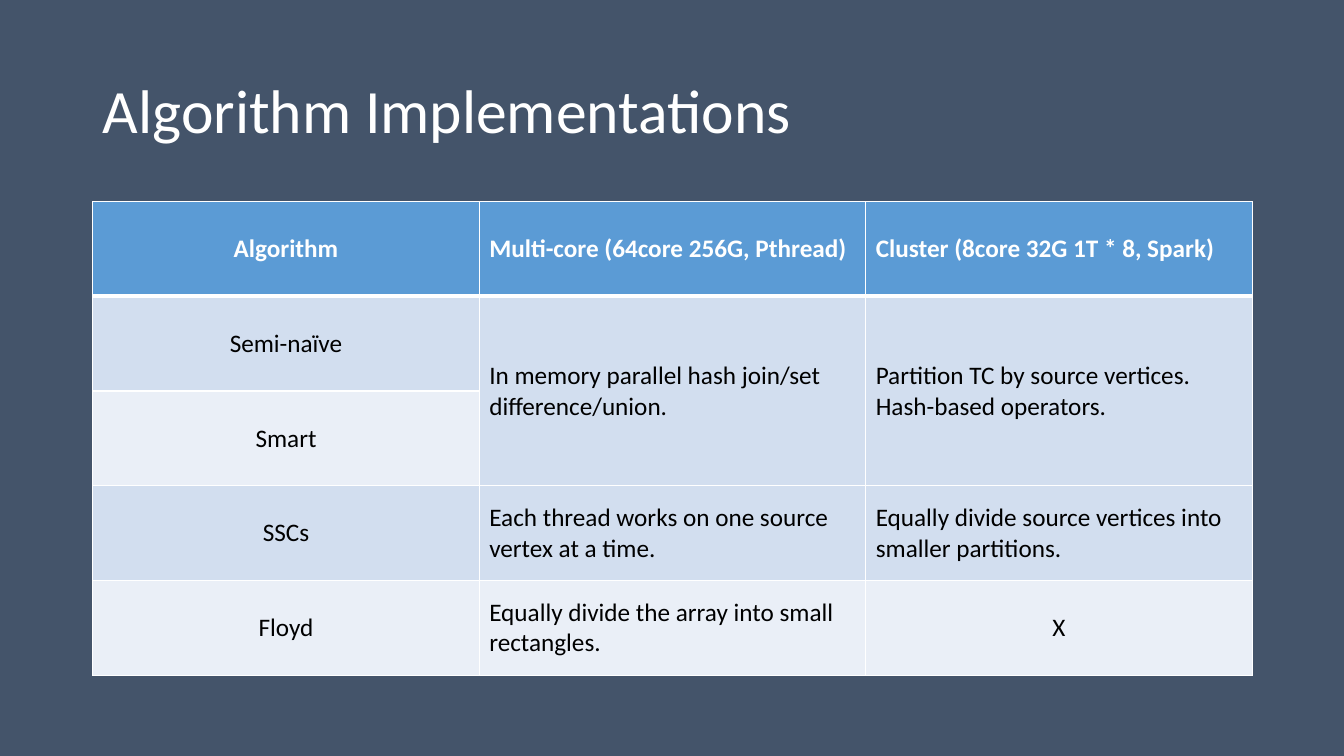
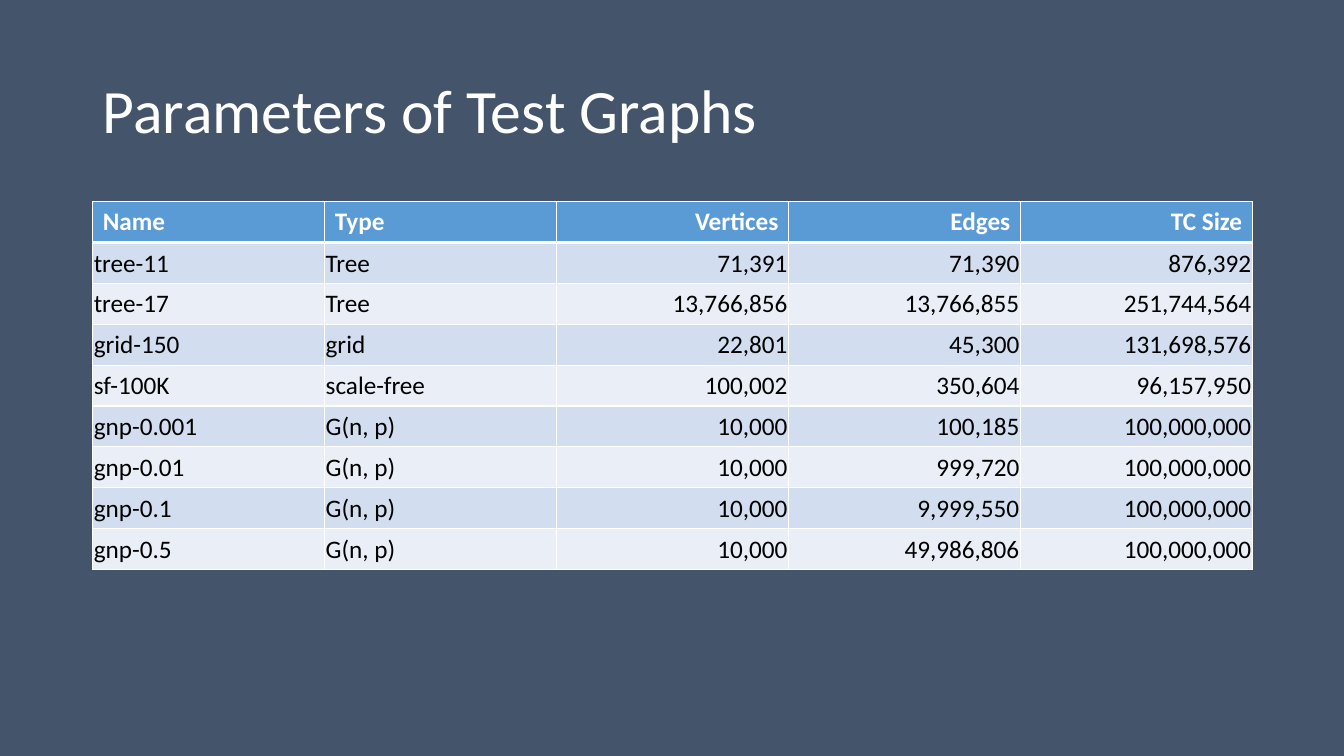
from lxml.etree import SubElement
from pptx import Presentation
from pptx.dml.color import RGBColor
from pptx.enum.text import MSO_ANCHOR, PP_ALIGN
from pptx.oxml.ns import qn
from pptx.util import Inches, Pt

MIDDLE = MSO_ANCHOR.MIDDLE
ALIGN = {"l": PP_ALIGN.LEFT, "c": PP_ALIGN.CENTER, "r": PP_ALIGN.RIGHT}

THEME = {
    "back": "44546A", "light": "FFFFFF", "dark": "000000",
    "head": "5B9BD5", "bands": ("D2DEEF", "EAEFF7"),
    "thin": 1, "thick": 3,
    "title": {"name": "Calibri", "size": Pt(44), "bold": False},
    "cell": {"name": "Calibri", "size": Pt(18)},
}
WIDE, HIGH = 13.33, 7.5
LEFT, SPAN = 0.92, 11.5
TITLE = {"left": LEFT, "top": 0.4, "width": SPAN, "height": 1.45}
TOP = 2
TIGHT = {"margin_left": 0.01, "margin_right": 0.01,
         "margin_top": 0.01, "margin_bottom": 0}

SLIDES = [
    {
        "title": "Algorithm Implementations",
        "height": 4.7, "align": "cll", "inset": {},
        "special": {(4, 2): "c"},
        "merge": [((1, 1), (2, 1)), ((1, 2), (2, 2))],
        "rows": [
            ("Algorithm", "Multi-core (64core 256G, Pthread)",
             "Cluster (8core 32G 1T * 8, Spark)"),
            ("Semi-naïve", "In memory parallel hash join/set difference/union.",
             "Partition TC by source vertices. Hash-based operators."),
            ("Smart", "", ""),
            ("SSCs", "Each thread works on one source vertex at a time.",
             "Equally divide source vertices into smaller partitions."),
            ("Floyd", "Equally divide the array into small rectangles.", "X"),
        ],
    },
    {
        "title": "Parameters of Test Graphs",
        "height": 3.65, "align": "llrrr", "inset": TIGHT,
        "special": {}, "merge": [],
        "rows": [
            ("Name", "Type", "Vertices", "Edges", "TC Size"),
            ("tree-11", "Tree", "71,391", "71,390", "876,392"),
            ("tree-17", "Tree", "13,766,856", "13,766,855", "251,744,564"),
            ("grid-150", "grid", "22,801", "45,300", "131,698,576"),
            ("sf-100K", "scale-free", "100,002", "350,604", "96,157,950"),
            ("gnp-0.001", "G(n, p)", "10,000", "100,185", "100,000,000"),
            ("gnp-0.01", "G(n, p)", "10,000", "999,720", "100,000,000"),
            ("gnp-0.1", "G(n, p)", "10,000", "9,999,550", "100,000,000"),
            ("gnp-0.5", "G(n, p)", "10,000", "49,986,806", "100,000,000"),
        ],
    },
]


def put(item, values):
    for name, value in values.items():
        setattr(item, name, value)


def place(item, values):
    put(item, {name: Inches(value) for name, value in values.items()})


def paint(fill, color):
    fill.solid()
    fill.fore_color.rgb = RGBColor.from_string(color)


def write(frame, text, style, color, align):
    para = frame.paragraphs[0]
    para.alignment = ALIGN[align]
    run = para.add_run()
    run.text = text
    put(run.font, style)
    run.font.color.rgb = RGBColor.from_string(color)
    return para


def border(cell, row):
    props = cell._tc.get_or_add_tcPr()
    widths = {"L": THEME["thin"], "R": THEME["thin"],
              "T": THEME["thick" if row == 1 else "thin"],
              "B": THEME["thick" if row == 0 else "thin"]}
    for spot, (side, width) in enumerate(widths.items()):
        line = SubElement(props, qn("a:ln" + side), w=str(Pt(width)))
        fill = SubElement(line, qn("a:solidFill"))
        SubElement(fill, qn("a:srgbClr"), val=THEME["light"])
        props.insert(spot, line)


def fill_cell(cell, row, text, align, inset):
    head = row == 0
    cell.vertical_anchor = MIDDLE
    if not head:
        place(cell, inset)
    paint(cell.fill, THEME["head"] if head else THEME["bands"][(row - 1) % 2])
    border(cell, row)
    if text:
        style = {**THEME["cell"], "bold": head}
        write(cell.text_frame, text, style,
              THEME["light" if head else "dark"], align)


def add_grid(slide, data):
    rows = data["rows"]
    count = len(rows[0])
    table = slide.shapes.add_table(
        len(rows), count, Inches(LEFT), Inches(TOP),
        Inches(SPAN), Inches(data["height"])).table
    for col in table.columns:
        col.width = Inches(SPAN / count)
    for line in table.rows:
        line.height = Inches(data["height"] / len(rows))
    for row, texts in enumerate(rows):
        for col, text in enumerate(texts):
            align = data["special"].get((row, col), data["align"][col])
            fill_cell(table.cell(row, col), row, text, align, data["inset"])
    for first, last in data["merge"]:
        table.cell(*first).merge(table.cell(*last))


def main():
    deck = Presentation()
    place(deck, {"slide_width": WIDE, "slide_height": HIGH})
    paint(deck.slide_master.background.fill, THEME["back"])
    layout = deck.slide_layouts[5]
    place(layout.placeholders[0], TITLE)
    layout.placeholders[0].text_frame.vertical_anchor = MIDDLE
    for data in SLIDES:
        slide = deck.slides.add_slide(layout)
        para = write(slide.shapes.title.text_frame, data["title"],
                     THEME["title"], THEME["light"], "l")
        para.line_spacing = 0.9
        add_grid(slide, data)
    deck.save("out.pptx")


if __name__ == "__main__":
    main()
